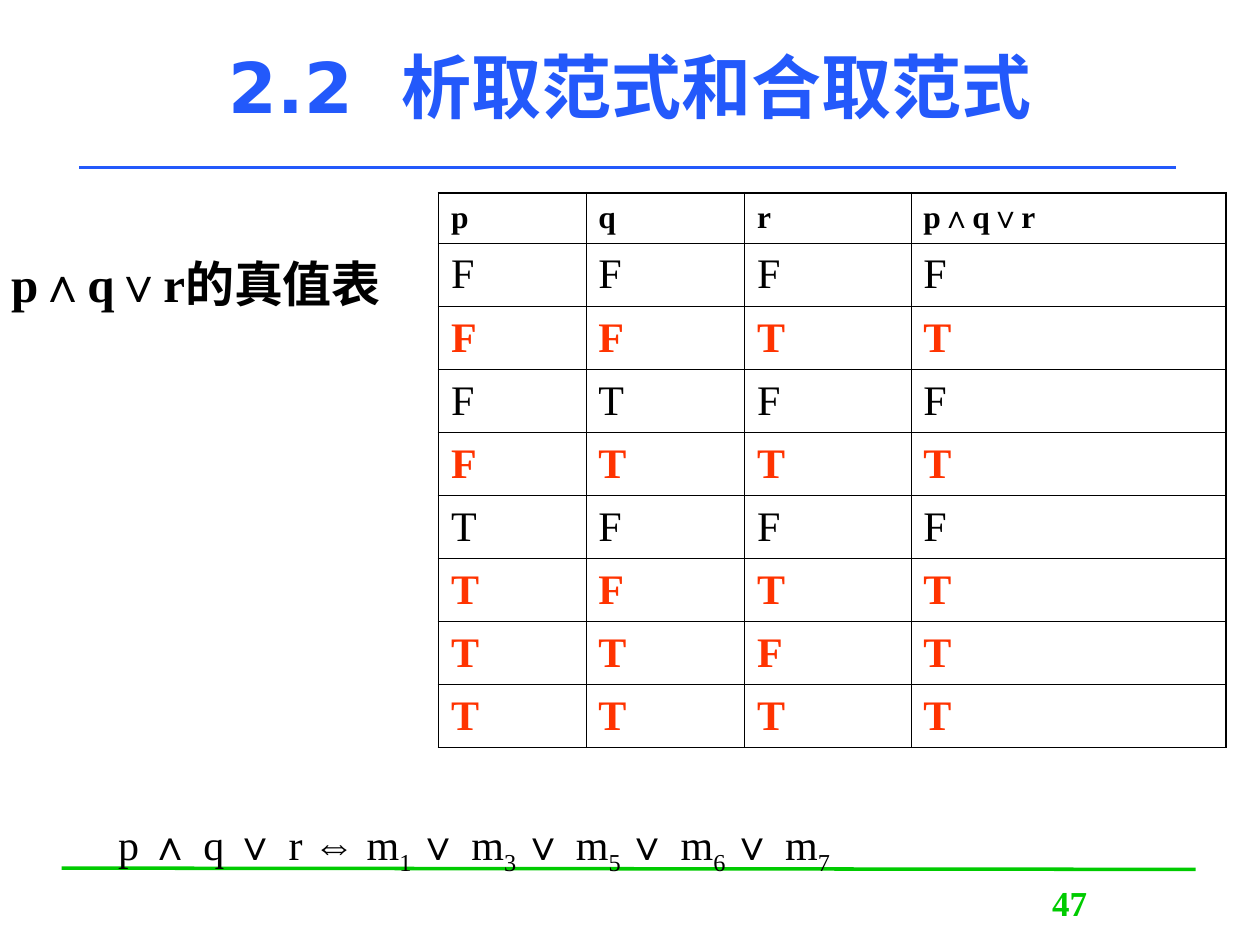
import pptx
import pptx.util
import pptx.dml.color
import pptx.enum.shapes
import pptx.enum.text
import pptx.oxml.ns
from lxml import etree

Inches, Pt = pptx.util.Inches, pptx.util.Pt
ALIGN = pptx.enum.text.PP_ALIGN
ANCHOR = pptx.enum.text.MSO_ANCHOR
AUTO = pptx.enum.text.MSO_AUTO_SIZE
qn = pptx.oxml.ns.qn

BLUE, GREEN, RED, BLACK = "2359FB", "00CB00", "FF3300", "000000"
ROMAN, SANS, TITLE = "Times New Roman", "Arial", "DejaVu Sans"

RULES = [  # start, end, colour
    ((0.49, 6.89), (9.49, 6.9), GREEN),
    ((0.63, 1.33), (9.33, 1.33), BLUE),
]
HEAD = ["p", "q", "r", "p∧q∨r"]
TRUTH = ["FFFF", "FFTT", "FTFF", "FTTT", "TFFF", "TFTT", "TTFT", "TTTT"]
COLS = [1.17, 1.26, 1.32, 2.5]
ROWS = [0.4] + [0.5] * len(TRUTH)
TERMS = "13567"
THIN, THICK = 0.45, 1.08

# Each run: text, format values, XML run attributes
OR = ("∨ ", {"name": SANS, "bold": True}, {})
FORMULA = [
    ("p ", {}, {}), ("∧ ", {"name": SANS, "bold": True}, {}),
    ("q ", {}, {}), OR, ("r ", {}, {}), ("⇔ ", {"name": SANS}, {}),
]
for i, term in enumerate(TERMS):
    last = i == len(TERMS) - 1
    FORMULA += [("m", {}, {}),
                (term if last else term + " ", {}, {"baseline": "-25000"})]
    if not last:
        FORMULA.append(OR)

LABEL = [("p", {}, {}), ("∧", {"name": SANS}, {}), ("q", {}, {}),
         ("∨", {"name": SANS}, {}), ("r的真值表", {}, {})]
HEADING = [("2.2", {}, {}), (" ", {}, {"spc": "1400"}),
           ("析取范式和合取范式", {}, {})]


def tint(value):
    return pptx.dml.color.RGBColor.from_string(value)


def write(frame, runs, size, color=BLACK, bold=False, name=ROMAN, **para):
    """Fill the first paragraph with runs; para holds paragraph values."""
    line = frame.paragraphs[0]
    for key, value in para.items():
        setattr(line, key, value)
    for text, style, attrs in runs:
        run = line.add_run()
        run.text = text
        base = {"size": Pt(size), "bold": bold, "name": name}
        for key, value in (base | style).items():
            setattr(run.font, key, value)
        run.font.color.rgb = tint(color)
        for key, value in attrs.items():
            run.font._rPr.set(key, value)


def box(area, wrap=True, anchor=ANCHOR.TOP, hang=False):
    frame = slide.shapes.add_textbox(*map(Inches, area)).text_frame
    frame.word_wrap = wrap
    frame.vertical_anchor = anchor
    if hang:
        props = frame.paragraphs[0]._p.get_or_add_pPr()
        props.set("marL", str(Inches(0.38)))
        props.set("indent", str(-Inches(0.38)))
    return frame


def rule(start, end, color):
    line = slide.shapes.add_connector(
        pptx.enum.shapes.MSO_CONNECTOR.STRAIGHT, *map(Inches, start + end))
    line.line.color.rgb = tint(color)
    line.line.width = Pt(2)
    etree.SubElement(line._element.spPr, qn("a:effectLst"))


def border(cell, widths):
    props = cell._tc.get_or_add_tcPr()
    for i, (side, width) in enumerate(widths.items()):
        edge = etree.Element(qn("a:ln" + side), w=str(Pt(width)))
        fill = etree.SubElement(edge, qn("a:solidFill"))
        etree.SubElement(fill, qn("a:srgbClr"), val=BLACK)
        props.insert(i, edge)


def grid():
    shape = slide.shapes.add_table(
        len(ROWS), len(COLS), Inches(3.48), Inches(1.53),
        Inches(sum(COLS)), Inches(sum(ROWS)))
    table = shape.table
    table.first_row = table.horz_banding = False
    for col, width in zip(table.columns, COLS):
        col.width = Inches(width)
    for row, height in zip(table.rows, ROWS):
        row.height = Inches(height)
    for r, values in enumerate([HEAD] + TRUTH):
        top = r == 0
        true = not top and values[-1] == "T"
        for c, value in enumerate(values):
            cell = table.cell(r, c)
            cell.fill.background()
            cell.vertical_anchor = ANCHOR.MIDDLE
            write(cell.text_frame, [(value, {}, {})], 18 if top else 24,
                  RED if true else BLACK, top or true,
                  space_before=Pt(4.5 if top else 6))
            outer = {"L": c == 0, "R": c == len(COLS) - 1,
                     "T": top, "B": r == len(TRUTH)}
            border(cell, {k: THICK if v else THIN for k, v in outer.items()})


deck = pptx.Presentation()
deck.slide_width, deck.slide_height = Inches(10), Inches(7.5)
slide = deck.slides.add_slide(deck.slide_layouts[6])

for item in RULES:
    rule(*item)
write(box((7.7, 6.95, 1.58, 0.5)), [("47", {}, {})], 20, GREEN, True,
      alignment=ALIGN.CENTER, space_before=Pt(12.5))
write(box((0.75, 0.05, 8.5, 1.25), anchor=ANCHOR.MIDDLE), HEADING, 40, BLUE,
      True, TITLE, alignment=ALIGN.CENTER)
write(box((0.84, 6.45, 8.5, 0.89), hang=True), FORMULA, 24,
      space_before=Pt(6))
grid()
label = box((-0.01, 1.96, 3.46, 0.57), wrap=False, hang=True)
label.auto_size = AUTO.SHAPE_TO_FIT_TEXT
write(label, LABEL, 28, bold=True, space_before=Pt(7))

deck.save("out.pptx")
